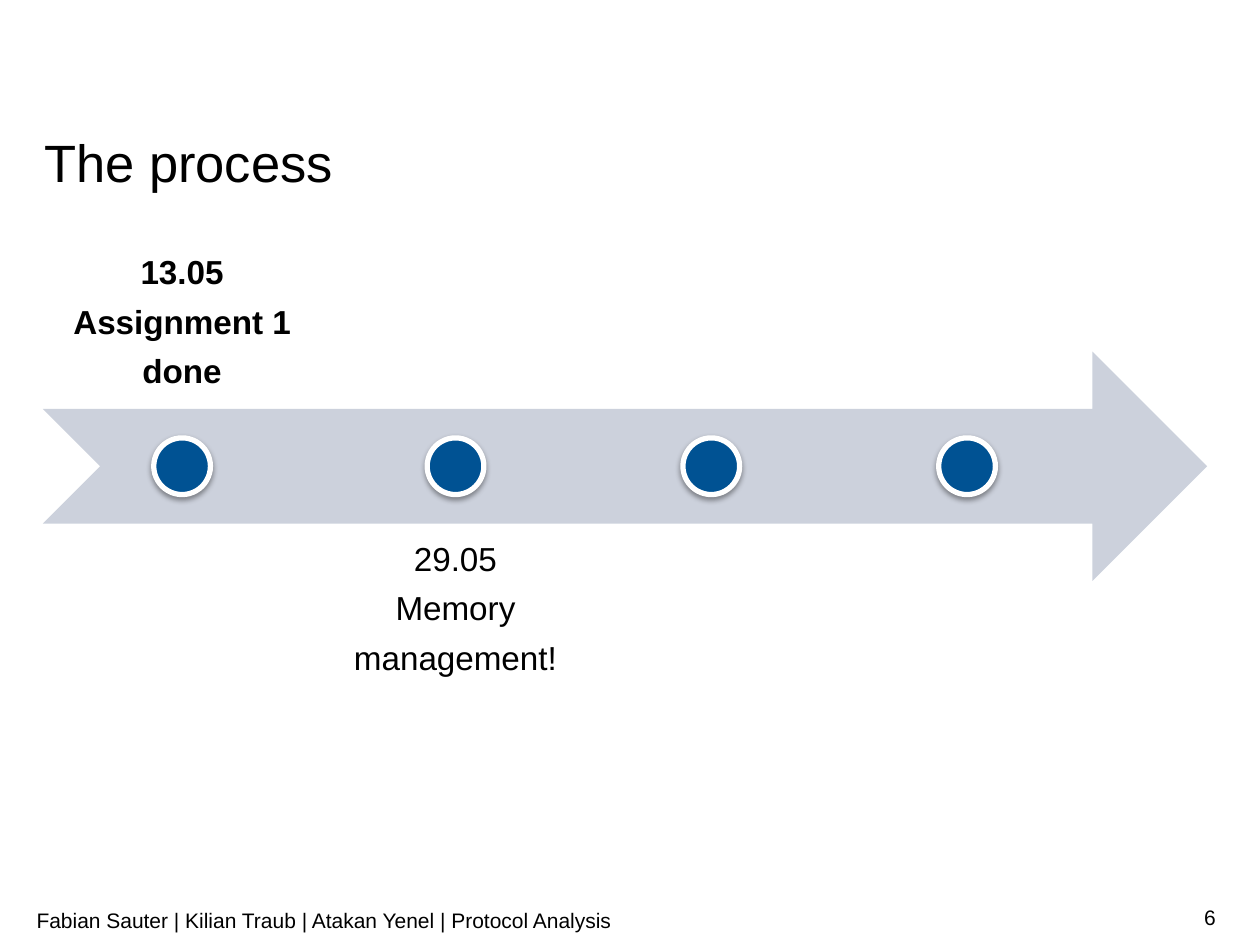
from lxml import etree
from pptx import Presentation
from pptx.dml.color import RGBColor
from pptx.enum.shapes import MSO_SHAPE
from pptx.enum.text import MSO_ANCHOR, PP_ALIGN
from pptx.oxml import parse_xml
from pptx.oxml.ns import nsdecls, qn
from pptx.util import Inches, Pt

BLACK = RGBColor(0x00, 0x00, 0x00)
WHITE = RGBColor(0xFF, 0xFF, 0xFF)
BLUE = RGBColor(0x00, 0x52, 0x93)
PALE = RGBColor(0xCC, 0xD1, 0xDC)
ARROW, DOT = MSO_SHAPE.NOTCHED_RIGHT_ARROW, MSO_SHAPE.OVAL
TOP, MIDDLE, BOTTOM = MSO_ANCHOR.TOP, MSO_ANCHOR.MIDDLE, MSO_ANCHOR.BOTTOM
LEFT, CENTER, RIGHT = PP_ALIGN.LEFT, PP_ALIGN.CENTER, PP_ALIGN.RIGHT
COLUMNS, ROWS = 100, 75


def cells(count):
    """Turn a number of grid cells (ten to the inch) into a length."""
    return Inches(count / 10)


class ProcessSlide:
    """Style of the deck and the page being drawn; lengths are grid cells."""

    font = "Arial"

    def __init__(self, deck):
        """Add a title-only page to the deck."""
        self.page = deck.slides.add_slide(deck.slide_layouts[5])

    def fill_text(self, box, lines, size, align=LEFT, anchor=TOP,
                  insets=(0, 0), bold=False, spacing=None, after=0):
        """Fill a box with one paragraph per line."""
        frame = box.text_frame
        frame.word_wrap = True
        frame.vertical_anchor = anchor
        frame.margin_left = frame.margin_right = cells(insets[0])
        frame.margin_top = frame.margin_bottom = cells(insets[1])
        for index, line in enumerate(lines):
            para = frame.add_paragraph() if index else frame.paragraphs[0]
            para.alignment = align
            para.line_spacing = spacing
            para.space_after = Pt(after)
            span = para.add_run()
            span.text = line
            span.font.name, span.font.size = self.font, Pt(size)
            span.font.bold, span.font.color.rgb = bold, BLACK

    def title(self, place, text):
        """Move and format the title placeholder."""
        box = self.page.shapes.title
        box.left, box.top, box.width, box.height = map(cells, place)
        self.fill_text(box, [text], 30, spacing=Pt(32))

    def text(self, place, lines, size, **style):
        """Add a text box."""
        box = self.page.shapes.add_textbox(*map(cells, place))
        self.fill_text(box, lines, size, **style)

    def shape(self, kind, place, fill):
        """Add a plain filled shape without outline or shadow."""
        shape = self.page.shapes.add_shape(kind, *map(cells, place))
        shape.shadow.inherit = False
        shape.fill.solid()
        shape.fill.fore_color.rgb = fill
        shape.line.fill.background()
        return shape

    def milestone(self, center, middle, size):
        """Add a white-rimmed dot with a soft shadow below it."""
        place = (center - size / 2, middle - size / 2, size, size)
        dot = self.shape(DOT, place, BLUE)
        dot.line.color.rgb = WHITE
        dot.line.width = Pt(3)
        effects = dot.element.spPr.find(qn("a:effectLst"))
        shadow = parse_xml(
            f'<a:outerShdw {nsdecls("a")} blurRad="{Pt(3.1)}" dist="{Pt(1.6)}" '
            'dir="5400000" rotWithShape="0"/>')
        color = etree.SubElement(shadow, qn("a:srgbClr"), val=str(BLACK))
        etree.SubElement(color, qn("a:alpha"), val="38000")
        effects.append(shadow)


def main():
    """Build the process slide."""
    deck = Presentation()
    deck.slide_width, deck.slide_height = cells(COLUMNS), cells(ROWS)
    slide = ProcessSlide(deck)

    slide.text((74.1, 70.8, 22.4, 4), ["6"], 12,
               align=RIGHT, anchor=MIDDLE, insets=(0, 0.5))
    slide.text((2.9, 71, 70.7, 4),
               ["Fabian Sauter | Kilian Traub | Atakan Yenel | Protocol Analysis"],
               12, anchor=MIDDLE, insets=(0, 0.5))
    slide.title((3.5, 10.9, 93.1, 4.5), "The process")

    left, middle, band, gap = 3.4, 37, 18.2, 1
    slide.shape(ARROW, (left, middle - band / 2, 92.4, band), PALE)

    above, below = middle - 4.5 - band, middle + 4.6
    milestones = [
        (22.1, above, BOTTOM, True, ["13.05", "Assignment 1", "done"]),
        (19.3, below, TOP, False, ["29.05", "Memory", "management!"]),
        (19.3, above, BOTTOM, False, []),
        (19.3, below, TOP, False, []),
    ]
    for width, top, anchor, bold, lines in milestones:
        if lines:
            slide.text((left, top, width, band), lines, 19, align=CENTER,
                       anchor=anchor, insets=(1.5, 1.5), bold=bold,
                       spacing=0.9, after=7.6)
        slide.milestone(left + width / 2, middle, 4.5)
        left += width + gap

    deck.save("out.pptx")


main()
